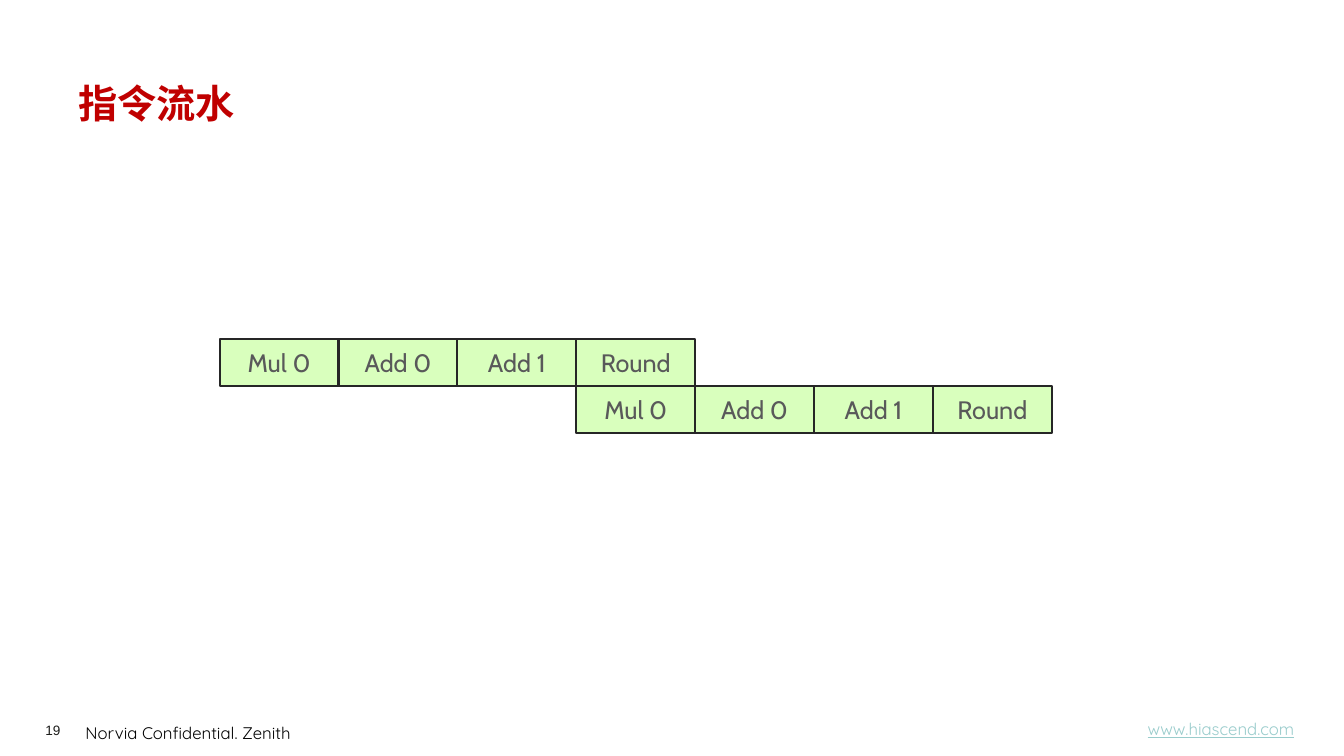
from pptx import Presentation
from pptx.dml.color import RGBColor
from pptx.enum.shapes import MSO_SHAPE as Shape
from pptx.enum.text import MSO_ANCHOR as Anchor, PP_ALIGN as Align
from pptx.util import Inches, Pt

COLORS = {
    "title": "C00000",
    "footer": "000000",
    "number": "1D1D1B",
    "link": "99CCCC",
    "stage_fill": "D9FFBD",
    "stage_line": "262626",
    "stage_text": "59595A",
}
STAGES = ["Mul 0", "Add 0", "Add 1", "Round"]
STAGE_WIDTH, STAGE_HEIGHT = 1.18, 0.47
PIPELINE_LEFT, PIPELINE_TOP = 2.18, 3.36
ISSUE_DELAY = 3  # stages between the starts of two instructions


def color(name):
    return RGBColor.from_string(COLORS[name])


def write(shape, text, size, font, color_name, bold=False, underline=False):
    """Put one styled run into the first paragraph and return the paragraph."""
    para = shape.text_frame.paragraphs[0]
    span = para.add_run()
    span.text = text
    span.font.size = Pt(size)
    span.font.name = font
    span.font.bold = bold
    span.font.underline = underline
    span.font.color.rgb = color(color_name)
    return para


def add_text_box(page, left, top, width, height, anchor=Anchor.TOP):
    box = page.shapes.add_textbox(Inches(left), Inches(top), Inches(width), Inches(height))
    box.text_frame.word_wrap = True
    box.text_frame.vertical_anchor = anchor
    return box


def add_stage(page, label, column, row):
    stage = page.shapes.add_shape(
        Shape.RECTANGLE,
        Inches(PIPELINE_LEFT + column * STAGE_WIDTH),
        Inches(PIPELINE_TOP + row * STAGE_HEIGHT),
        Inches(STAGE_WIDTH),
        Inches(STAGE_HEIGHT),
    )
    stage.shadow.inherit = False
    stage.fill.solid()
    stage.fill.fore_color.rgb = color("stage_fill")
    stage.line.color.rgb = color("stage_line")
    stage.line.width = Pt(1.5)
    stage.text_frame.vertical_anchor = Anchor.MIDDLE
    write(stage, label, 18, "Cabin", "stage_text").alignment = Align.CENTER


def add_footer(page):
    notice = add_text_box(page, 0.75, 7.08, 3.13, 0.32)
    write(notice, "Norvia Confidential. Zenith", 12, "Quicksand", "footer").line_spacing = 1.2

    number = add_text_box(page, 0.45, 7.16, 0.55, 0.16)
    frame = number.text_frame
    frame.margin_left = frame.margin_right = frame.margin_top = frame.margin_bottom = 0
    write(number, "19", 9.7, "Arial", "number")

    link = add_text_box(page, 11.04, 7.02, 2.16, 0.43, Anchor.MIDDLE)
    para = write(link, "www.hiascend.com", 12, "Quicksand", "link", underline=True)
    para.alignment = Align.CENTER


def main():
    deck = Presentation()
    deck.slide_width, deck.slide_height = Inches(13.34), Inches(7.5)
    page = deck.slides.add_slide(deck.slide_layouts[6])

    add_footer(page)
    title = add_text_box(page, 0.68, 0.74, 11.99, 0.64)
    write(title, "指令流水", 28, "Quicksand", "title", bold=True)
    for row in range(2):
        for index, label in enumerate(STAGES):
            add_stage(page, label, row * ISSUE_DELAY + index, row)

    deck.save("out.pptx")


if __name__ == "__main__":
    main()
